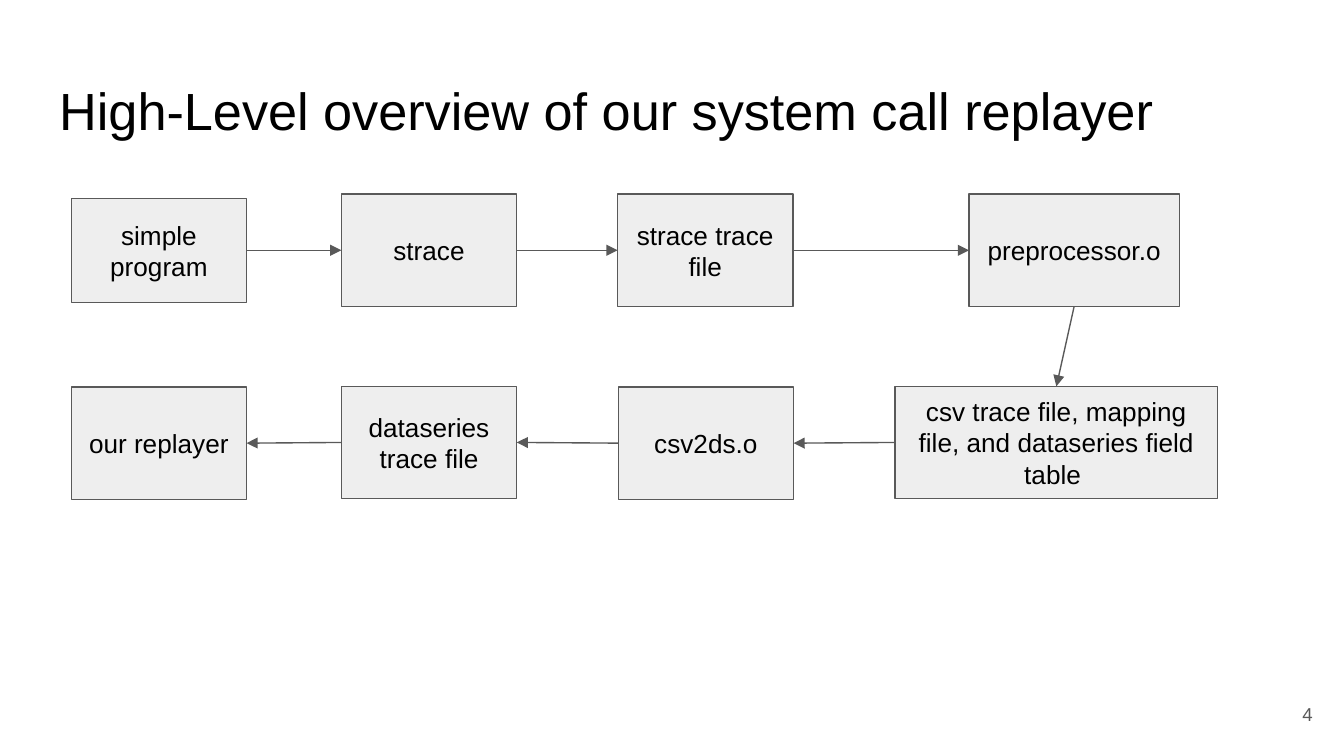
from lxml import etree
from pptx import Presentation, util as u
from pptx.dml.color import RGBColor
from pptx.enum import shapes, text
from pptx.oxml.ns import qn

PX = 4572
COLORS = {"ink": "000000", "box": "EEEEEE", "line": "595959"}


def px(*lengths):
    return [u.Emu(length * PX) for length in lengths]


def write(frame, words, size, color, align, anchor):
    frame.word_wrap = True
    frame.auto_size = text.MSO_AUTO_SIZE.NONE
    frame.vertical_anchor = anchor
    frame.margin_left, frame.margin_top, frame.margin_right, frame.margin_bottom = px(20, 20, 20, 20)
    paragraph = frame.paragraphs[0]
    paragraph.alignment = align
    run = paragraph.add_run()
    run.text = words
    run.font.name = "Arial"
    run.font.size = u.Pt(size)
    run.font.color.rgb = RGBColor.from_string(COLORS[color])


deck = Presentation()
deck.slide_width, deck.slide_height = px(2000, 1125)
slide = deck.slides.add_slide(deck.slide_layouts[5])

title = slide.shapes.title
title.left, title.top, title.width, title.height = px(68, 97, 1864, 126)
write(title.text_frame, "High-Level overview of our system call replayer", 28, "ink",
      text.PP_ALIGN.LEFT, text.MSO_ANCHOR.TOP)

RECT = shapes.MSO_SHAPE.RECTANGLE
PROCESS = shapes.MSO_SHAPE.FLOWCHART_PROCESS
TOP, LEFT, BOTTOM, RIGHT = range(4)
stages = [
    ("simple program", PROCESS, 106, 295, 261, 155),
    ("strace", RECT, 508, 289, 261, 167),
    ("strace trace file", RECT, 919, 289, 261, 167),
    ("preprocessor.o", RECT, 1442, 289, 313, 167),
    ("csv trace file, mapping file, and dataseries field table ", RECT, 1332, 575, 480, 167),
    ("csv2ds.o", RECT, 920, 576, 261, 167),
    ("dataseries trace file", RECT, 508, 575, 261, 167),
    ("our replayer", RECT, 106, 576, 261, 167),
]
pipeline = []
for label, outline, *place in stages:
    stage = slide.shapes.add_shape(outline, *px(*place))
    stage.shadow.inherit = False
    stage.fill.solid()
    stage.fill.fore_color.rgb = RGBColor.from_string(COLORS["box"])
    stage.line.color.rgb = RGBColor.from_string(COLORS["line"])
    stage.line.width = u.Pt(0.75)
    write(stage.text_frame, label, 14, "ink", text.PP_ALIGN.CENTER, text.MSO_ANCHOR.MIDDLE)
    pipeline.append(stage)

sides = [(RIGHT, LEFT)] * 3 + [(BOTTOM, TOP)] + [(LEFT, RIGHT)] * 3
for source, target, (leave, enter) in zip(pipeline, pipeline[1:], sides):
    arrow = slide.shapes.add_connector(shapes.MSO_CONNECTOR.STRAIGHT, 0, 0, 0, 0)
    arrow.begin_connect(source, leave)
    arrow.end_connect(target, enter)
    arrow.line.color.rgb = RGBColor.from_string(COLORS["line"])
    arrow.line.width = u.Pt(0.75)
    etree.SubElement(arrow.line._get_or_add_ln(), qn("a:tailEnd"), type="triangle")
    etree.SubElement(arrow._element.spPr, qn("a:effectLst"))

page_number = slide.shapes.add_textbox(*px(1853, 1020, 120, 86))
write(page_number.text_frame, "4", 10, "line", text.PP_ALIGN.RIGHT, text.MSO_ANCHOR.MIDDLE)

deck.save("out.pptx")
